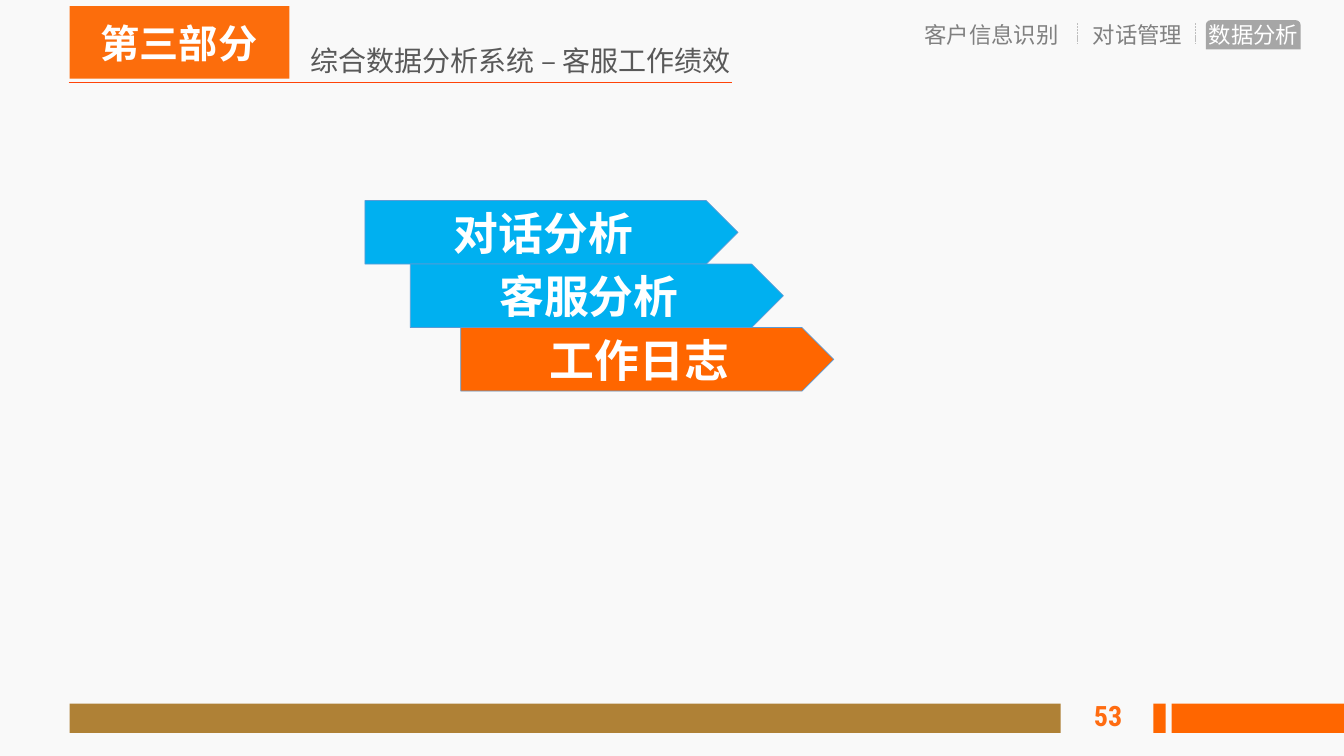
"""Builds the section slide on customer service performance."""
from lxml import etree
from pptx import Presentation, util as u
from pptx.dml.color import RGBColor
from pptx.enum import dml, shapes, text
from pptx.oxml import ns

deck = Presentation()
deck.slide_width, deck.slide_height = u.Inches(13.33), u.Inches(7.5)
slide = deck.slides.add_slide(deck.slide_layouts[5])
cell = u.Inches(0.1)
kinds, align = shapes.MSO_SHAPE, text.PP_ALIGN
sans, orange, blue = "Noto Sans CJK SC", "FF6600", "00B0F0"


def paint(part, hue):
    if hasattr(part, "solid"):
        part.solid()
        part = part.fore_color
    part.rgb = RGBColor.from_string(hue)


def write(shape, words, size, hue, bold=False, face=sans, side=align.LEFT):
    para = shape.text_frame.paragraphs[0]
    para.text = words
    para.alignment = side
    font = para.runs[0].font
    font.size, font.bold, font.name = u.Pt(size), bold, face
    paint(font.color, hue)
    east = etree.SubElement(para.runs[0]._r.get_or_add_rPr(), ns.qn("a:ea"))
    east.set("typeface", sans)


paint(slide.background.fill, "F9F9F9")

title = slide.shapes.title
title.left, title.top, title.width, title.height = [int(n * cell) for n in (29.8, 3.8, 44.4, 4.4)]
frame = title.text_frame
frame.auto_size = text.MSO_AUTO_SIZE.NONE
frame.word_wrap = False
frame.vertical_anchor = text.MSO_ANCHOR.TOP
write(title, "综合数据分析系统 – 客服工作绩效", 20, "595959")

bars = [
    (kinds.ROUND_2_SAME_RECTANGLE, 119.6, 2, 9.4, 2.9, "A6A6A6"),
    (kinds.RECTANGLE, 6.9, 0.6, 21.8, 7.2, "FC6D0C"),
    (kinds.RECTANGLE, 6.9, 69.8, 98.3, 2.9, "AF8136"),
    (kinds.RECTANGLE, 114.4, 69.8, 1.2, 2.9, orange),
    (kinds.RECTANGLE, 116.2, 69.8, 17.1, 2.9, orange),
]
for kind, *place, hue in bars:
    bar = slide.shapes.add_shape(kind, *[int(n * cell) for n in place])
    bar.shadow.inherit = False
    paint(bar.fill, hue)
    bar.line.fill.background()

rules = [
    (6.8, 8.2, 72.6, 8.2, "FF4409", 1, None),
    (106.9, 2.3, 106.9, 4.3, "BFBFBF", 0.5, dml.MSO_LINE.SQUARE_DOT),
    (118.6, 2.3, 118.6, 4.3, "BFBFBF", 0.5, dml.MSO_LINE.SQUARE_DOT),
]
for *ends, hue, thick, dash in rules:
    rule = slide.shapes.add_connector(shapes.MSO_CONNECTOR.STRAIGHT, *[int(n * cell) for n in ends])
    paint(rule.line.fill, hue)
    rule.line.width, rule.line.dash_style = u.Pt(thick), dash
    etree.SubElement(rule._element.spPr, ns.qn("a:effectLst"))

labels = [
    (90.7, 1.6, 15.5, 3.7, "客户信息识别", 16, "808080"),
    (107.4, 1.6, 11, 3.7, "对话管理", 16, "808080"),
    (118.9, 1.6, 11, 3.7, "数据分析", 16, "FFFFFF"),
    (9, 1.4, 17.7, 5.7, "第三部分", 28, "FFFFFF", True),
    (82.3, 69, 30, 4, "53", 20, "FF6C11", True, "Roboto Condensed", align.RIGHT),
]
for *place, words, size, hue, in [row[:7] for row in labels]:
    style = next(row[7:] for row in labels if row[4] == words)
    label = slide.shapes.add_textbox(*[int(n * cell) for n in place])
    label.text_frame.word_wrap = False
    label.text_frame.vertical_anchor = text.MSO_ANCHOR.MIDDLE
    write(label, words, size, hue, *style)

steps = [(36.2, "对话分析", blue), (40.7, "客服分析", blue), (45.7, "工作日志", orange)]
for row, (left, words, hue) in enumerate(steps):
    place = left, 19.9 + 6.3 * row, 37, 6.3
    step = slide.shapes.add_shape(kinds.PENTAGON, *[int(n * cell) for n in place])
    step.shadow.inherit = False
    paint(step.fill, hue)
    paint(step.line.fill, "5B9BD5")
    step.line.width = u.Pt(0.5)
    frame = step.text_frame
    frame.margin_left = frame.margin_right = frame.margin_top = frame.margin_bottom = 0
    frame.vertical_anchor = text.MSO_ANCHOR.MIDDLE
    write(step, words, 32, "FFFFFF", True, "Arial", align.CENTER)

deck.save("out.pptx")
